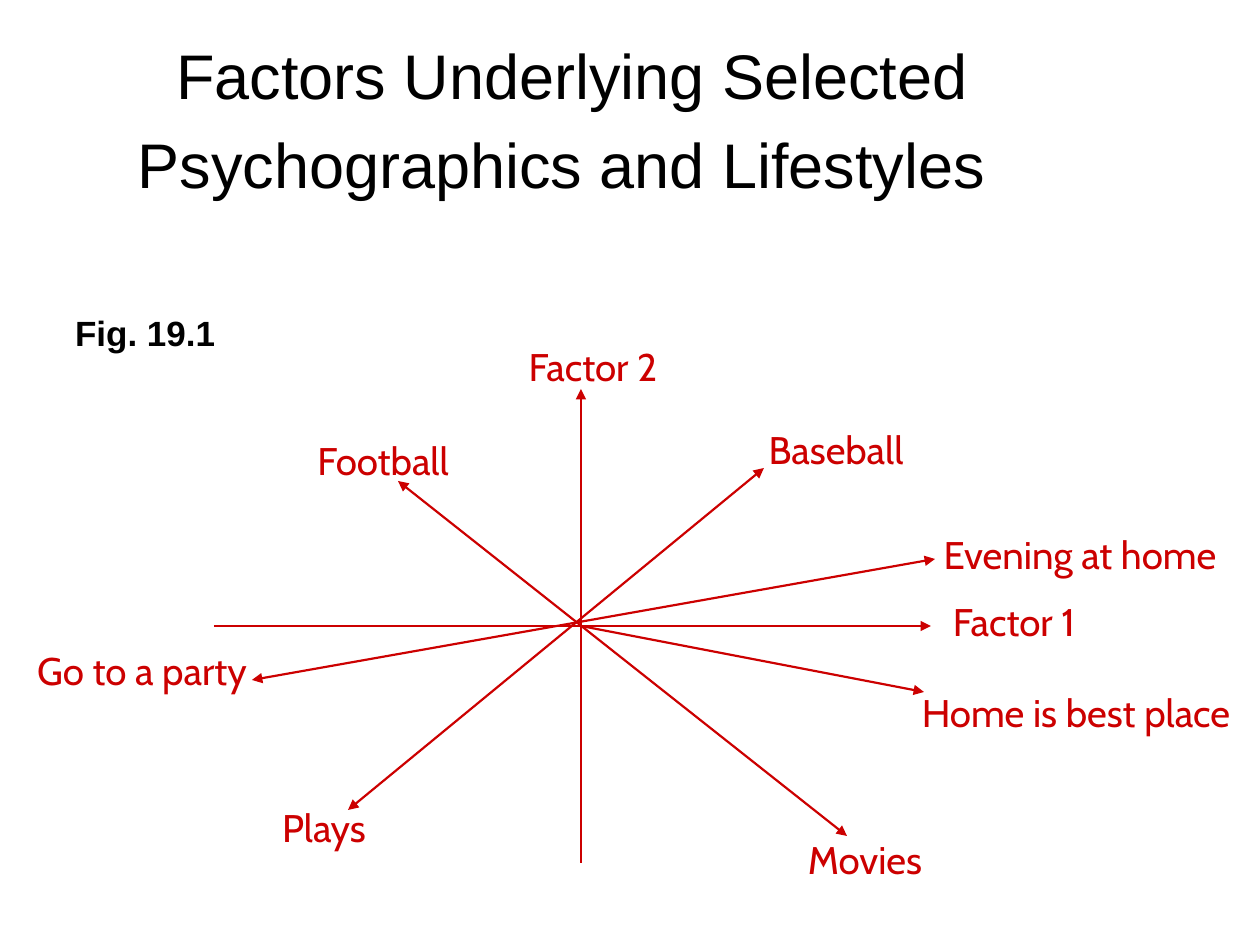
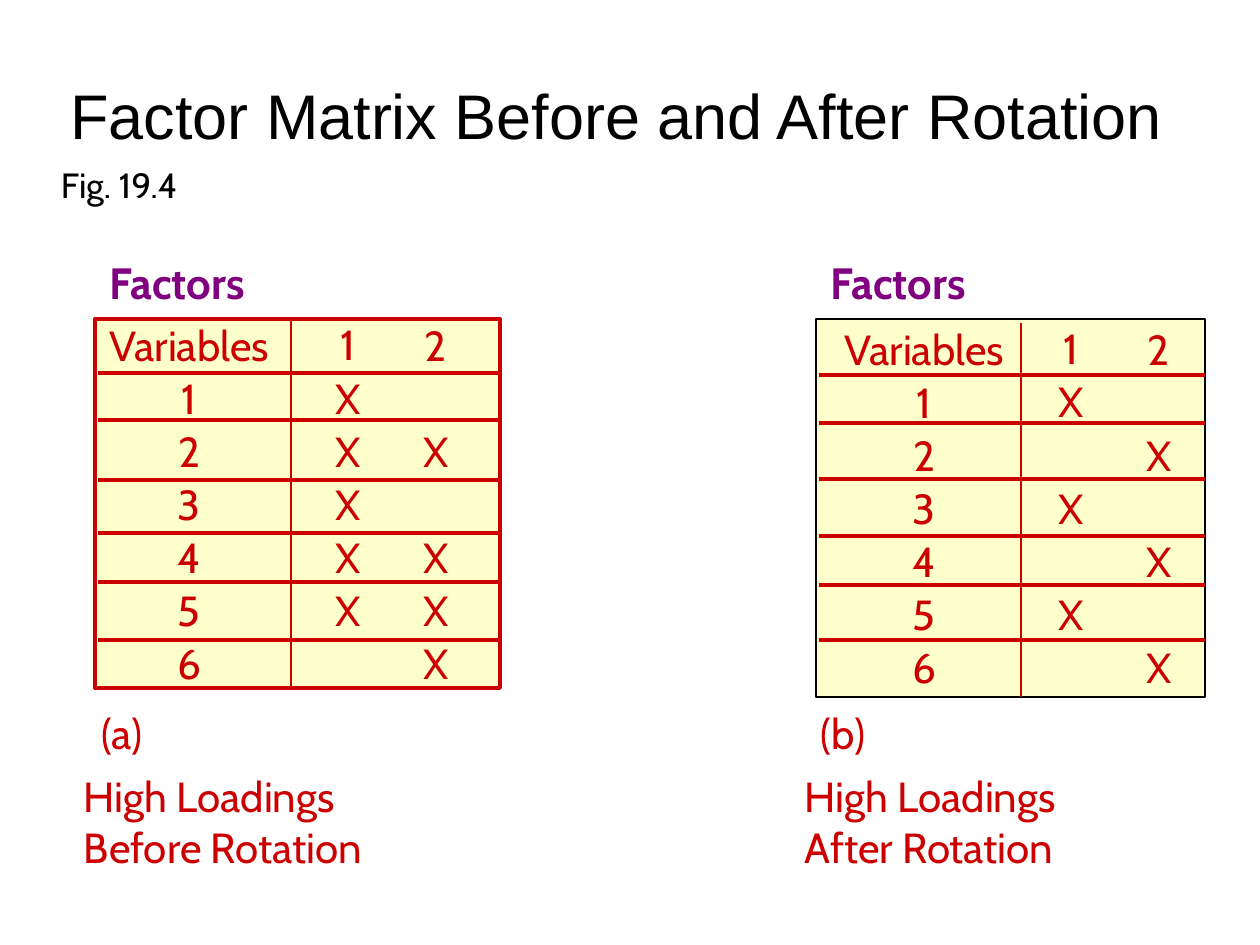
from pptx import Presentation
from pptx.dml.color import RGBColor
from pptx.enum.shapes import MSO_CONNECTOR, MSO_SHAPE
from pptx.enum.text import MSO_ANCHOR, PP_ALIGN
from pptx.oxml.ns import qn
from pptx.util import Emu, Pt
from lxml.etree import SubElement

SCALE = 914400 // 126
COLORS = {"ink": "000000", "red": "CC0000", "plum": "800080", "cream": "FFFFCC"}
HEAD, BODY = "Arial", "Cabin"
LEFT, MID = PP_ALIGN.LEFT, PP_ALIGN.CENTER
GAP, PITCH = 1.5, 30.3


def px(n):
    return Emu(round(n * SCALE))


def tint(name):
    return RGBColor.from_string(COLORS[name])


def write(para, words, size, color="red", font=BODY, bold=False):
    run = para.add_run()
    run.text = words
    run.font.size = Pt(size)
    run.font.name = font
    run.font.bold = bold
    run.font.color.rgb = tint(color)


def frame(slide, box, inset=(0, 0), wrap=False):
    body = slide.shapes.add_textbox(*map(px, box)).text_frame
    body.word_wrap = wrap
    body.margin_left = body.margin_right = px(inset[0])
    body.margin_top = body.margin_bottom = px(inset[1])
    return body


def label(slide, box, lines, size, color="red", align=MID, bold=False):
    body = frame(slide, box)
    for i, line in enumerate(lines):
        para = body.add_paragraph() if i else body.paragraphs[0]
        para.alignment = align
        write(para, line, size, color, bold=bold)


def title(slide, box, runs):
    body = frame(slide, box, (13, 6), True)
    body.vertical_anchor = MSO_ANCHOR.MIDDLE
    para = body.paragraphs[0]
    para.alignment = MID
    for words, size in runs:
        write(para, words, size, "ink", HEAD)


def figure(slide, box, words, font=BODY, bold=False, before=0):
    para = frame(slide, box, (13, 6), True).paragraphs[0]
    para.space_before = Pt(before)
    write(para, words, 20, "ink", font, bold)


def rule(slide, start, end, width, heads=()):
    link = slide.shapes.add_connector(MSO_CONNECTOR.STRAIGHT, *map(px, start + end))
    link.line.color.rgb = tint("red")
    link.line.width = Pt(width)
    line = link.line._get_or_add_ln()
    for tag in heads:
        SubElement(line, qn(tag), type="triangle", w="med", len="med")
    SubElement(link._element.spPr, qn("a:effectLst"))


def factor_map(slide, box):
    x, y, w, h = box
    mid = h // 2
    cross = 367
    one, two = ["a:tailEnd"], ["a:headEnd", "a:tailEnd"]
    rays = [
        ((134, 421), (550, 79), two),
        ((633, 447), (184, 92), two),
        ((cross, h), (cross, 0), one),
        ((0, mid), (w, mid), one),
        ((cross, mid), (710, 303), one),
        ((38, 291), (721, 170), two),
    ]
    for (ax, ay), (bx, by), heads in rays:
        rule(slide, (x + ax, y + ay), (x + bx, y + by), 1.25, heads)
    names = [
        ("Factor 2", 379, -46, 145),
        ("Football", 169, 48, 145),
        ("Baseball", 622, 37, 151),
        ("Evening at home", 866, 142, 304),
        ("Factor 1", 800, 209, 145),
        ("Home is best place", 862, 300, 340),
        ("Go to a party", -72, 258, 234),
        ("Plays", 110, 415, 93),
        ("Movies", 651, 447, 127),
    ]
    for name, center, top, wide in names:
        label(slide, (x + center - wide / 2, y + top, wide, 47), [name], 22)


def column(slide, box, cells):
    body = frame(slide, box)
    prior = -1
    for row, words in cells:
        para = body.paragraphs[0] if prior < 0 else body.add_paragraph()
        para.alignment = MID
        para.space_before = Pt(GAP + PITCH * (row - prior - 1))
        write(para, words, 24)
        prior = row


def matrix(slide, box, rim, drop, split, centers, marks, rules):
    x, y, w, h = box
    card = slide.shapes.add_shape(MSO_SHAPE.RECTANGLE, *map(px, box))
    card.shadow.inherit = False
    card.fill.solid()
    card.fill.fore_color.rgb = tint("cream")
    color, width = rim
    card.line.color.rgb = tint(color)
    card.line.width = Pt(width)
    names = ["Variables", 1, 2, 3, 4, 5, 6]
    columns = [[(i, str(name)) for i, name in enumerate(names)]]
    for head, rows in zip("12", marks):
        columns.append([(0, head)] + [(row, "X") for row in rows])
    for center, wide, cells in zip(centers, (181, 25, 25), columns):
        high = 53 * (cells[-1][0] + 1)
        column(slide, (x + center - wide / 2, y + drop, wide, high), cells)
    for down in rules:
        rule(slide, (x + 3, y + down), (x + w, y + down), 2.25)
    rule(slide, (x + split, y + drop), (x + split, y + h), 1)


def panel(slide, box, table, mark, notes):
    x, y, w, h = box
    label(slide, (x + 13, y, 160, 53), ["Factors"], 25, "plum", bold=True)
    wide, high, *rest = table
    matrix(slide, (x + 11, y + 63, wide, high), *rest)
    label(slide, (x + 13, y + 452, 50, 50), [mark], 24)
    label(slide, (x, y + h - 101, w, 101), notes, 24, align=LEFT)


deck = Presentation()
deck.slide_width, deck.slide_height = px(1260), px(945)
blank = deck.slide_layouts[6]

page = deck.slides.add_slide(blank)
title(page, (63, 41, 1018, 158),
      [("Factors Underlying Selected Psychographics and Lifestyles", 36), (" ", 44)])
figure(page, (62, 305, 186, 57), "Fig. 19.1", HEAD, True, 5)
factor_map(page, (214, 389, 717, 474))

page = deck.slides.add_slide(blank)
title(page, (44, 77, 1145, 74), [("Factor Matrix Before and After Rotation", 36)])
figure(page, (48, 157, 179, 54), "Fig. 19.4")
panel(page, (84, 256, 310, 616),
      (405, 369, ("red", 2.25), 0, 196, (94, 253, 341),
       ((1, 2, 3, 4, 5), (2, 4, 5, 6)), (54, 101, 161, 214, 263, 321)),
      "(a)", ["High Loadings", "Before Rotation"])
panel(page, (805, 256, 285, 616),
      (389, 378, ("ink", 1), 4, 205, (108, 255, 343),
       ((1, 3, 5), (2, 4, 6)), (56, 104, 160, 217, 266, 321)),
      "(b)", ["High Loadings", "After Rotation"])

deck.save("out.pptx")
